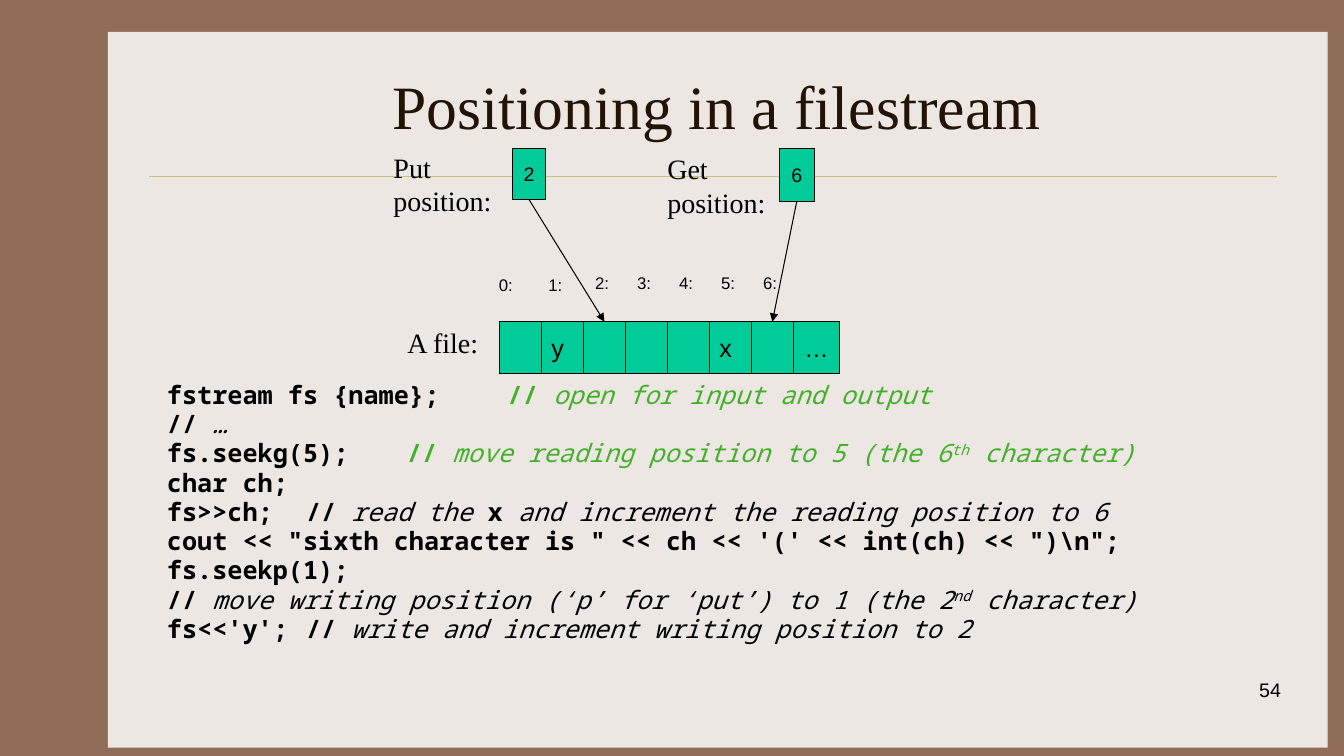
from dataclasses import dataclass

import lxml.etree
import pptx
import pptx.dml.color
import pptx.enum.shapes
import pptx.enum.text
import pptx.oxml.ns
import pptx.util

ALIGN = pptx.enum.text.PP_ALIGN
ANCHOR = pptx.enum.text.MSO_ANCHOR
RECTANGLE = pptx.enum.shapes.MSO_SHAPE.RECTANGLE
STRAIGHT = pptx.enum.shapes.MSO_CONNECTOR.STRAIGHT
BOTTOM, TOP = 2, 0


@dataclass(frozen=True)
class Theme:
    frame: str = "906D58"
    panel: str = "EDE7E3"
    rule: str = "CBBD83"
    title: str = "221304"
    ink: str = "000000"
    cell: str = "00CC99"
    comment: str = "43B02A"
    serif: str = "Times New Roman"
    sans: str = "Arial"
    mono: str = "Noto Sans Mono"
    title_size: float = 44
    label_size: float = 20
    code_size: float = 18
    dots_size: float = 17
    small_size: float = 14
    index_size: float = 12
    hairline: float = 0.25
    outline: float = 0.75


@dataclass(frozen=True)
class Area:
    """Left, top, width and height in grid columns and rows."""
    col: float
    row: float
    cols: float
    rows: float

    def box(self) -> tuple[int, int, int, int]:
        return (round(self.col * COL), round(self.row * ROW),
                round(self.cols * COL), round(self.rows * ROW))


@dataclass(frozen=True)
class Span:
    text: str
    italic: bool = False
    green: bool = False
    raised: bool = False


@dataclass(frozen=True)
class Position:
    label: str
    label_area: Area
    value: str
    value_area: Area
    target: int


THEME = Theme()
deck = pptx.Presentation()
deck.slide_width = pptx.util.Inches(13.33)
deck.slide_height = pptx.util.Inches(7.5)
COL = deck.slide_width / 32
ROW = deck.slide_height / 18

FILE_COL, FILE_ROW, FILE_ROWS = 11.89, 7.66, 1.23
FILE_CELLS = ["", "y", "", "", "", "x", "", "…"]
POSITIONS = [
    Position("Put position:", Area(9.2, 3.48, 3.34, 1.13),
             "2", Area(12.21, 3.53, 0.77, 1.22), 2),
    Position("Get position:", Area(15.72, 3.51, 3.17, 1.13),
             "6", Area(18.55, 3.53, 0.84, 1.27), 6),
]
CODE = [
    [Span("fstream fs {name};\t"), Span("// ", green=True),
     Span("open for input and output", italic=True, green=True)],
    [Span("// "), Span("…", italic=True)],
    [Span("fs.seekg(5);\t"), Span("// ", green=True),
     Span("move reading position to 5 (the 6", italic=True, green=True),
     Span("th", italic=True, green=True, raised=True),
     Span(" character)", italic=True, green=True)],
    [Span("char ch;")],
    [Span("fs>>ch;\t// "), Span("read the ", italic=True), Span("x"),
     Span(" and increment the reading position to 6", italic=True)],
    [Span(r"""cout << "sixth character is " << ch << '(' << int(ch) << ")\n";""")],
    [Span("fs.seekp(1);")],
    [Span("// "), Span("move writing position (‘p’ for ‘put’) to 1 (the 2", italic=True),
     Span("nd", italic=True, raised=True), Span(" character)", italic=True)],
    [Span("fs<<'y';\t// "), Span("write and increment writing position to 2", italic=True)],
]


def rgb(color: str) -> pptx.dml.color.RGBColor:
    return pptx.dml.color.RGBColor.from_string(color)


def write(paragraph, text: str, *, size: float, font: str = THEME.sans,
          color: str = THEME.ink, bold: bool = False, italic: bool = False,
          raised: bool = False, align=ALIGN.LEFT) -> None:
    paragraph.alignment = align
    run = paragraph.add_run()
    run.text = text
    run.font.size = pptx.util.Pt(size)
    run.font.name = font
    run.font.color.rgb = rgb(color)
    run.font.bold = bold
    run.font.italic = italic
    if raised:
        run.font._element.set("baseline", "30000")


def set_frame(shape, anchor=ANCHOR.TOP, side: float = 0.07, edge: float = 0.04):
    frame = shape.text_frame
    frame.word_wrap = True
    frame.auto_size = pptx.enum.text.MSO_AUTO_SIZE.NONE
    frame.vertical_anchor = anchor
    frame.margin_left = frame.margin_right = pptx.util.Inches(side)
    frame.margin_top = frame.margin_bottom = pptx.util.Inches(edge)
    return frame.paragraphs[0]


def add_label(area: Area, text: str, **text_format) -> None:
    write(set_frame(slide.shapes.add_textbox(*area.box())), text, **text_format)


def add_box(area: Area, fill: str, outlined: bool = True):
    box = slide.shapes.add_shape(RECTANGLE, *area.box())
    box.shadow.inherit = False
    box.fill.solid()
    box.fill.fore_color.rgb = rgb(fill)
    if outlined:
        box.line.color.rgb = rgb(THEME.ink)
        box.line.width = pptx.util.Pt(THEME.outline)
    else:
        box.line.fill.background()
    return box


def add_line(start: tuple[float, float], end: tuple[float, float],
             color: str, width: float):
    line = slide.shapes.add_connector(
        STRAIGHT, round(start[0] * COL), round(start[1] * ROW),
        round(end[0] * COL), round(end[1] * ROW))
    line.line.color.rgb = rgb(color)
    line.line.width = pptx.util.Pt(width)
    lxml.etree.SubElement(line._element.spPr, pptx.oxml.ns.qn("a:effectLst"))
    return line


# Background panel, rule and title
slide = deck.slides.add_slide(deck.slide_layouts[5])
slide.background.fill.solid()
slide.background.fill.fore_color.rgb = rgb(THEME.frame)
add_box(Area(2.57, 0.76, 29.04, 17.04), THEME.panel, outlined=False)
add_line((3.55, 4.2), (30.41, 4.2), THEME.rule, THEME.hairline)
heading = slide.shapes.title
slide.shapes._spTree.append(heading._element)
heading.left, heading.top, heading.width, heading.height = Area(3.74, 0.99, 26.66, 3).box()
write(set_frame(heading, ANCHOR.MIDDLE), "Positioning in a filestream", size=THEME.title_size,
      font=THEME.serif, color=THEME.title, align=ALIGN.CENTER)

# Code listing, with a tab stop at every inch
listing = slide.shapes.add_textbox(*Area(3.74, 9.05, 26.66, 7.34).box())
paragraph = set_frame(listing, side=0.1, edge=0.05)
indent = pptx.util.Inches(0.38)
for number, spans in enumerate(CODE):
    if number:
        paragraph = listing.text_frame.add_paragraph()
    paragraph.line_spacing = 0.8
    paragraph.space_before = pptx.util.Pt(3.6)
    properties = paragraph._p.get_or_add_pPr()
    properties.set("marL", str(indent))
    properties.set("indent", str(-indent))
    properties.set("defTabSz", str(pptx.util.Inches(1)))
    for span in spans:
        write(paragraph, span.text, size=THEME.code_size, font=THEME.mono,
              color=THEME.comment if span.green else THEME.ink,
              bold=not span.italic, italic=span.italic, raised=span.raised)

# File cells and their indices
add_label(Area(9.53, FILE_ROW, 2.18, FILE_ROWS), "A file:",
          size=THEME.label_size, font=THEME.serif)
cells = []
for index, content in enumerate(FILE_CELLS):
    is_rest = content == "…"
    cell = add_box(Area(FILE_COL + index, FILE_ROW, 1.1 if is_rest else 1, FILE_ROWS), THEME.cell)
    if content:
        write(set_frame(cell, ANCHOR.MIDDLE, side=0.07 if is_rest else 0.1), content,
              size=THEME.dots_size if is_rest else THEME.code_size,
              align=ALIGN.CENTER if is_rest else ALIGN.LEFT)
    cells.append(cell)
index_places = [(11.71, 6.44), (12.89, 6.44)] + [(14 + step, 6.39) for step in range(5)]
for index, (col, row) in enumerate(index_places):
    add_label(Area(col, row, 1, 1.13), f"{index}:", size=THEME.index_size)

# Put and get positions, each pointing at its cell
for position in POSITIONS:
    add_label(position.label_area, position.label, size=THEME.label_size, font=THEME.serif)
    value = add_box(position.value_area, THEME.cell)
    write(set_frame(value, ANCHOR.MIDDLE), position.value,
          size=THEME.small_size, align=ALIGN.CENTER)
    arrow = add_line((0, 0), (1, 1), THEME.ink, THEME.outline)
    arrow.begin_connect(value, BOTTOM)
    arrow.end_connect(cells[position.target], TOP)
    lxml.etree.SubElement(arrow.line._get_or_add_ln(), pptx.oxml.ns.qn("a:tailEnd"), type="triangle")

# Page number
add_label(Area(24.07, 16.05, 6.6, 1.2), "54", size=THEME.small_size, align=ALIGN.RIGHT)

deck.save("out.pptx")
